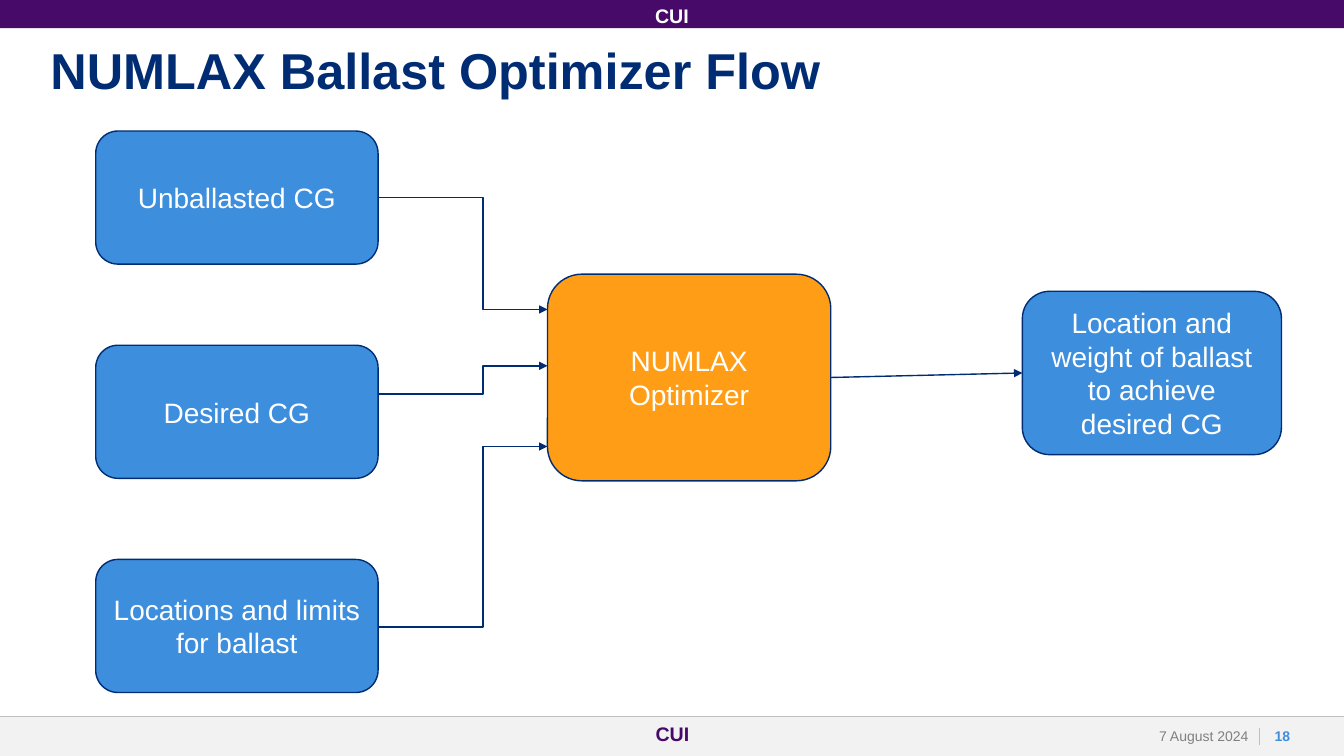
from lxml import etree
from pptx import Presentation
from pptx.dml.color import RGBColor
from pptx.enum import shapes, text
from pptx.oxml import ns
from pptx.util import Inches, Pt

NAVY, BLUE, ORANGE, PURPLE = "002C73", "3E8EDE", "FF9E16", "470A68"
WHITE, PALE, RULE, GREY = "FFFFFF", "F2F2F2", "BFBFBF", "808080"
WIDTH, HEIGHT = 13.33, 7.5

TITLE = "NUMLAX Ballast Optimizer Flow"
MARKING = "CUI"
DATE = "7 August 2024"
NUMBER = "18"

INPUTS = ["Unballasted CG", "Desired CG", "Locations and limits for ballast"]
INPUT_LEFT, INPUT_TOP, INPUT_STEP = 0.95, 1.3, 2.125
INPUT_WIDTH, INPUT_HEIGHT = 2.8, 1.32
OPTIMIZER = ("NUMLAX Optimizer", (5.43, 2.72, 2.81, 2.05), ORANGE)
RESULT = ("Location and weight of ballast to achieve desired CG",
          (10.14, 2.89, 2.57, 1.62), BLUE)
ENTRIES = [(1.96, 3.07), (3.91, 3.63), (6.22, 4.43)]
BEND = 0.62

FOOTER_TOP, FOOTER_HEIGHT = 7.11, 0.39
RULES = [((0, FOOTER_TOP), (WIDTH, FOOTER_TOP)), ((12.49, 7.22), (12.49, 7.39))]

ALIGN = text.PP_ALIGN
ANCHOR = text.MSO_ANCHOR


def color(value):
    return RGBColor.from_string(value)


def write(shape, words, size, ink, bold=False, align=ALIGN.CENTER,
          anchor=ANCHOR.MIDDLE, insets=(0.1, 0.05, 0.1, 0.05)):
    frame = shape.text_frame
    frame.word_wrap = True
    frame.auto_size = text.MSO_AUTO_SIZE.NONE
    frame.vertical_anchor = anchor
    (frame.margin_left, frame.margin_top,
     frame.margin_right, frame.margin_bottom) = map(Inches, insets)
    paragraph = frame.paragraphs[0]
    paragraph.alignment = align
    run = paragraph.add_run()
    run.text = words
    font = run.font
    font.name, font.size, font.bold = "Arial", Pt(size), bold
    font.color.rgb = color(ink)
    return paragraph


def block(kind, box, fill, outline=None):
    shape = slide.shapes.add_shape(kind, *map(Inches, box))
    shape.shadow.inherit = False
    shape.fill.solid()
    shape.fill.fore_color.rgb = color(fill)
    if outline:
        shape.line.color.rgb = color(outline)
        shape.line.width = Pt(1)
    else:
        shape.line.fill.background()
    return shape


def step(words, box, fill):
    shape = block(shapes.MSO_SHAPE.ROUNDED_RECTANGLE, box, fill, NAVY)
    write(shape, words, 20, WHITE)
    return shape


def label(words, box, *style, **layout):
    write(slide.shapes.add_textbox(*map(Inches, box)), words, *style, **layout)


def connect(kind, start, end, ink, width):
    line = slide.shapes.add_connector(kind, *map(Inches, start + end))
    line.line.color.rgb = color(ink)
    line.line.width = Pt(width)
    etree.SubElement(line._element.spPr, ns.qn("a:effectLst"))
    return line


def arrow(kind, start, end):
    line = connect(kind, start, end, NAVY, 1)
    etree.SubElement(line.line._get_or_add_ln(), ns.qn("a:tailEnd"), type="triangle")
    return line


deck = Presentation()
deck.slide_width, deck.slide_height = Inches(WIDTH), Inches(HEIGHT)
slide = deck.slides.add_slide(deck.slide_layouts[5])

title = slide.shapes.title
title.left, title.top, title.width, title.height = map(Inches, (0.5, 0.46, 12.33, 0.83))
write(title, TITLE, 36, NAVY, True, ALIGN.LEFT, ANCHOR.TOP, (0, 0, 0, 0)).line_spacing = 0.9

block(shapes.MSO_SHAPE.RECTANGLE, (0, FOOTER_TOP, WIDTH, FOOTER_HEIGHT), PALE)
for start, end in RULES:
    connect(shapes.MSO_CONNECTOR.STRAIGHT, start, end, RULE, 0.5)
label(DATE, (10.98, FOOTER_TOP, 1.5, FOOTER_HEIGHT), 10, GREY,
      align=ALIGN.RIGHT, insets=(0.1, 0, 0.1, 0))
label(NUMBER, (12.51, FOOTER_TOP, 0.42, FOOTER_HEIGHT), 10, BLUE, True, insets=(0, 0, 0, 0))

for row, words in enumerate(INPUTS):
    step(words, (INPUT_LEFT, INPUT_TOP + row * INPUT_STEP, INPUT_WIDTH, INPUT_HEIGHT), BLUE)
optimizer = step(*OPTIMIZER)
result = step(*RESULT)

for leave, enter in ENTRIES:
    feed = arrow(shapes.MSO_CONNECTOR.ELBOW,
                 (INPUT_LEFT + INPUT_WIDTH, leave), (OPTIMIZER[1][0], enter))
    bends = feed._element.spPr.find(ns.qn("a:prstGeom")).find(ns.qn("a:avLst"))
    etree.SubElement(bends, ns.qn("a:gd"), name="adj1", fmla=f"val {round(BEND * 100000)}")

output = arrow(shapes.MSO_CONNECTOR.STRAIGHT, (8.24, 3.72), (10.14, 3.7))
output.begin_connect(optimizer, 3)
output.end_connect(result, 1)

banner = block(shapes.MSO_SHAPE.RECTANGLE, (0, -0.01, WIDTH, 0.29), PURPLE)
write(banner, MARKING, 14, WHITE, True, anchor=ANCHOR.TOP, insets=(0.1, 0.05, 0.1, 0))
label(MARKING, (4.42, FOOTER_TOP, 4.5, FOOTER_HEIGHT), 14, PURPLE, True, anchor=ANCHOR.TOP)

deck.save("out.pptx")
